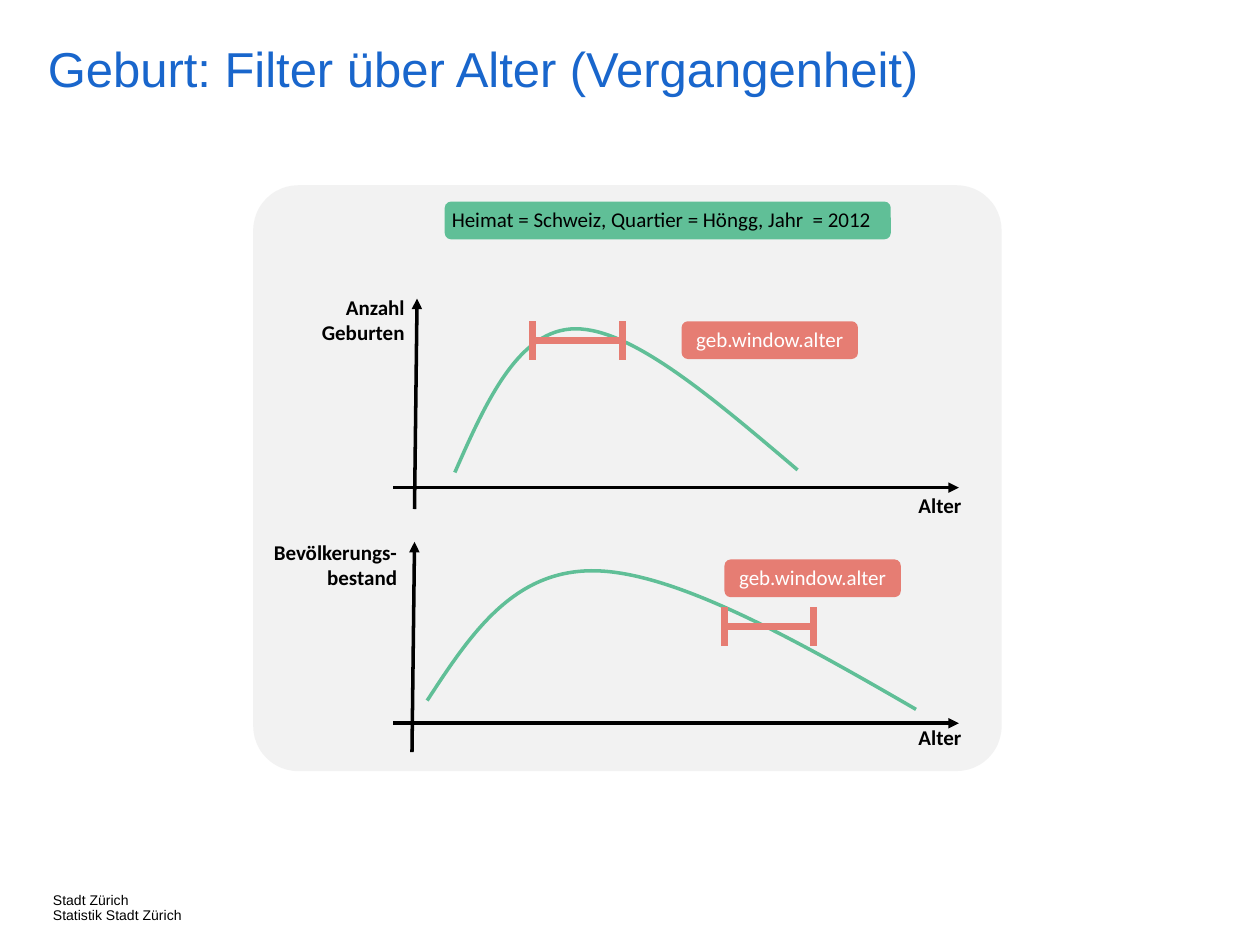
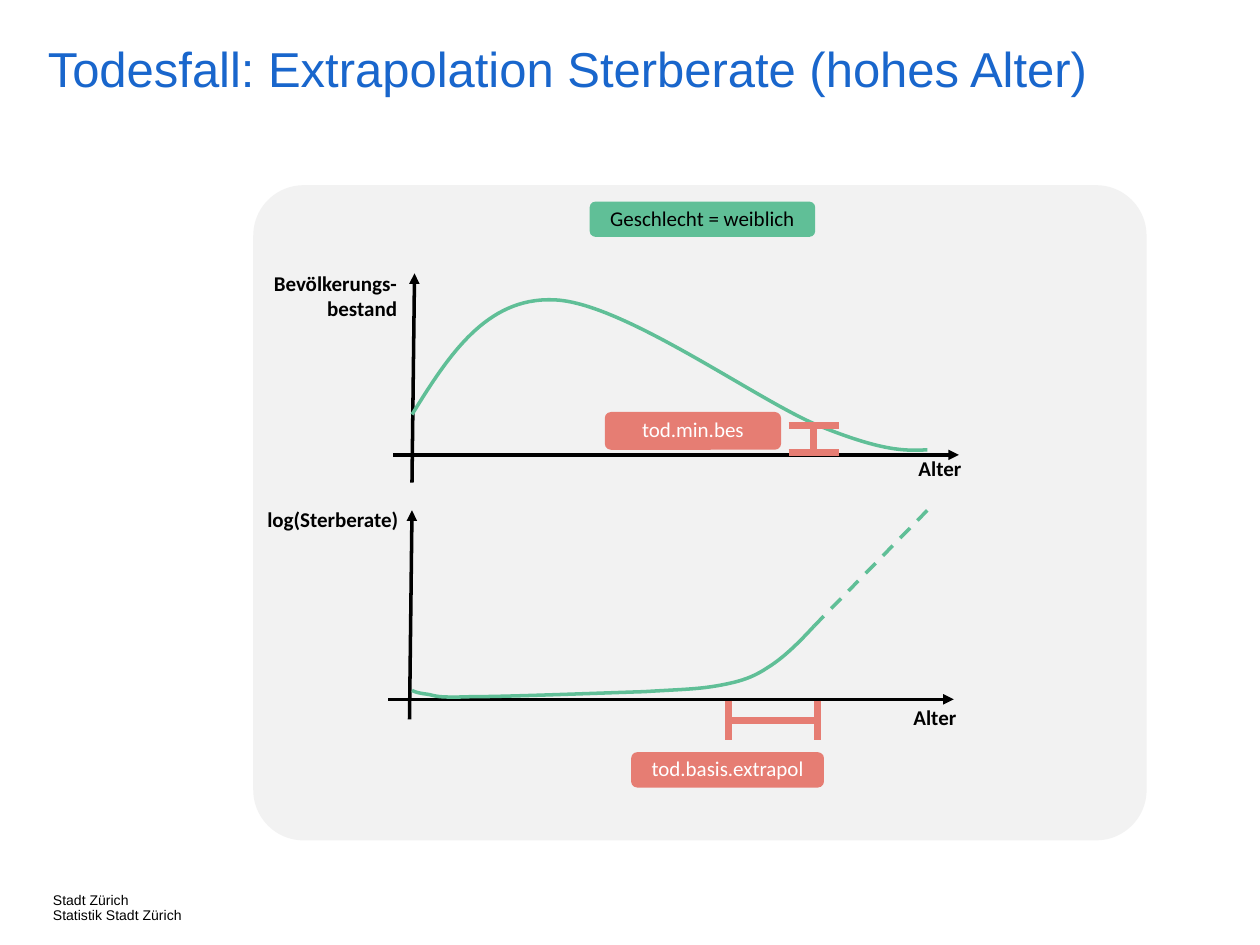
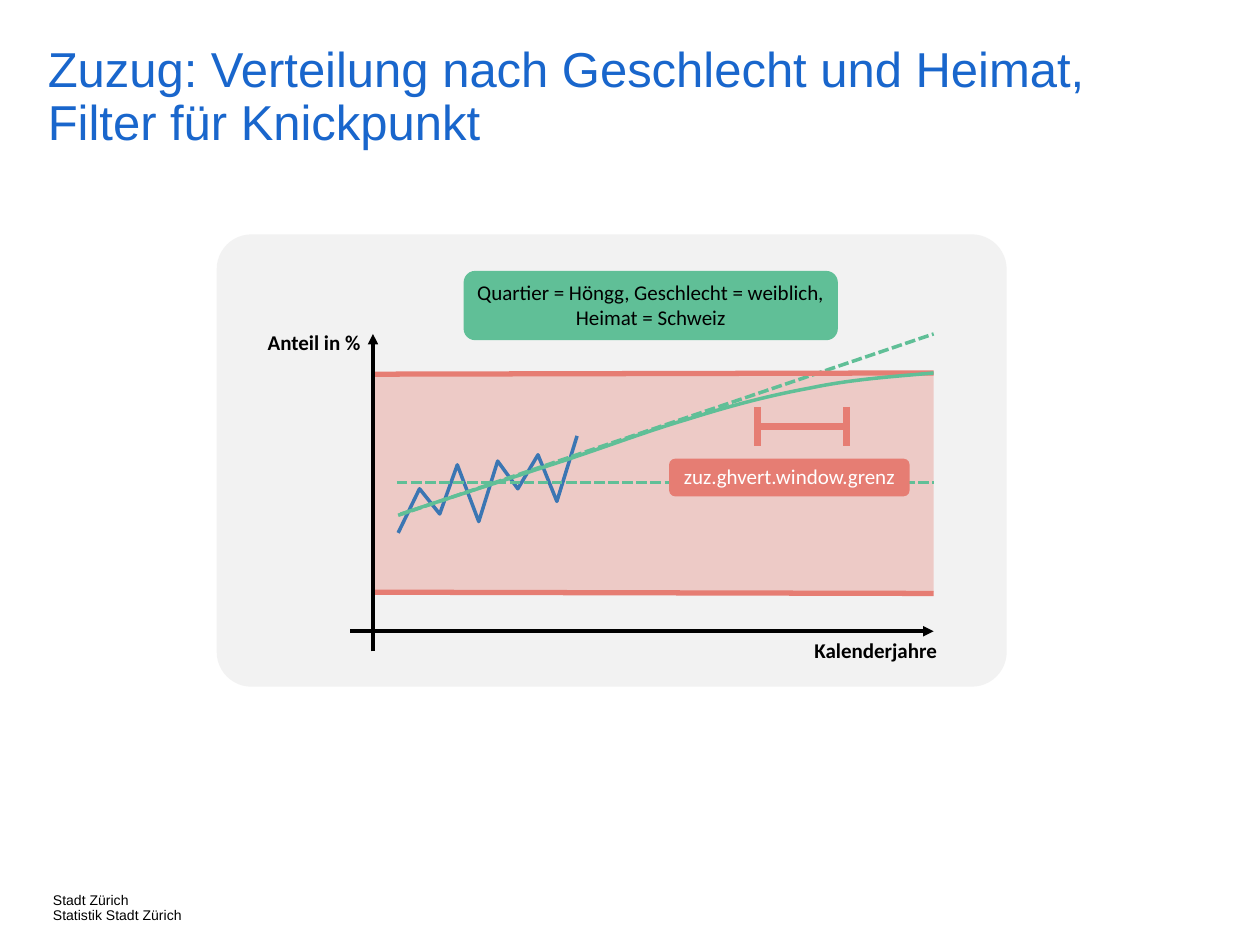
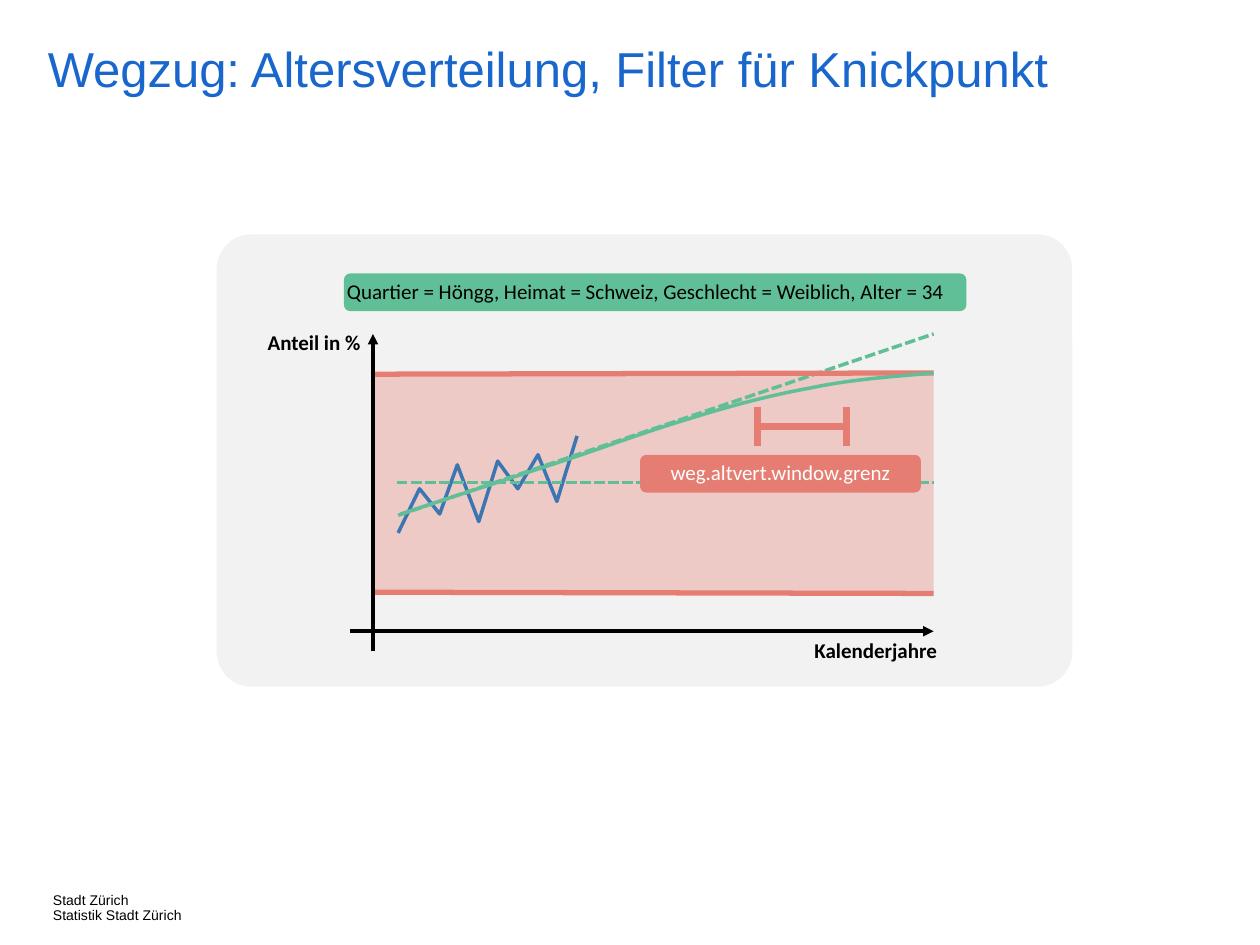
from typing import NamedTuple

from lxml.etree import SubElement
from pptx import Presentation
from pptx.dml.color import RGBColor
from pptx.enum.dml import MSO_LINE_DASH_STYLE as Dash
from pptx.enum.shapes import MSO_CONNECTOR_TYPE as Connector, MSO_SHAPE as Shape
from pptx.enum.text import MSO_ANCHOR as Anchor, PP_ALIGN as Align
from pptx.oxml.ns import qn
from pptx.util import Inches, Pt

BLUE, GREEN, RED, NAVY = "1966CC", "60BF97", "E67D73", "3B76B3"
GREY, BLACK, WHITE = "F2F2F2", "000000", "FFFFFF"
WINDOW_SIZE = (0.71, 0.31)


class Box(NamedTuple):
    left: float
    top: float
    width: float
    height: float

    def inner(self, x, y, width, height):
        return Box(self.left + x, self.top + y, width, height)

    def point(self, x, y):
        return Inches(self.left + x), Inches(self.top + y)

    def lengths(self):
        return [Inches(value) for value in self]


def colour(value):
    return RGBColor.from_string(value)


def write(frame, text, size, font="Calibri", tint=BLACK, bold=False,
          align=Align.LEFT, spacing=None):
    frame.text = text
    for para in frame.paragraphs:
        para.alignment = align
        if spacing:
            para.line_spacing = spacing
        for span in para.runs:
            span.font.name = font
            span.font.size = Pt(size)
            span.font.bold = bold
            span.font.color.rgb = colour(tint)


def set_margins(frame, left=0, top=0, right=0, bottom=0):
    frame.margin_left, frame.margin_top = Inches(left), Inches(top)
    frame.margin_right, frame.margin_bottom = Inches(right), Inches(bottom)


def add_plain_text(page, box, text, size, tint, wrap):
    frame = page.shapes.add_textbox(*box.lengths()).text_frame
    frame.word_wrap = wrap
    set_margins(frame)
    write(frame, text, size, "Arial", tint, spacing=0.9)


def add_label(page, box, text, align):
    frame = page.shapes.add_textbox(*box.lengths()).text_frame
    frame.word_wrap = True
    write(frame, text, 12, bold=True, align=align)


def add_area(page, box, fill, kind=Shape.ROUNDED_RECTANGLE):
    area = page.shapes.add_shape(kind, *box.lengths())
    area.shadow.inherit = False
    area.fill.solid()
    area.fill.fore_color.rgb = colour(fill)
    area.line.fill.background()
    return area


def add_tag(page, box, text, fill, tint, margin_right=0):
    frame = add_area(page, box, fill).text_frame
    frame.word_wrap = True
    frame.vertical_anchor = Anchor.MIDDLE
    set_margins(frame, right=margin_right, bottom=0.02)
    write(frame, text, 12, tint=tint, align=Align.CENTER)


def add_line(page, box, start, end, tint, width=2, dash=None, arrow=False):
    line = page.shapes.add_connector(
        Connector.STRAIGHT, *box.point(*start), *box.point(*end))
    line.line.color.rgb = colour(tint)
    line.line.width = Pt(width)
    if dash:
        line.line.dash_style = dash
    properties = line._element.spPr
    if arrow:
        SubElement(properties.find(qn("a:ln")), qn("a:tailEnd"), type="triangle")
    SubElement(properties, qn("a:effectLst"))


def add_path(page, box, points, tint):
    builder = page.shapes.build_freeform(*box.point(*points[0]))
    builder.add_line_segments([box.point(*point) for point in points[1:]], close=False)
    outline = builder.convert_to_shape()
    outline.shadow.inherit = False
    outline.fill.background()
    outline.line.color.rgb = colour(tint)
    outline.line.width = Pt(2)
    return outline


def add_curve(page, box, controls):
    outline = add_path(page, box, controls, GREEN)
    route = next(outline._element.iter(qn("a:path")))
    steps = route.findall(qn("a:lnTo"))
    for first in range(0, len(steps), 3):
        bend = SubElement(route, qn("a:cubicBezTo"))
        for step in steps[first:first + 3]:
            bend.append(step[0])
            route.remove(step)


def add_window(page, box):
    middle = box.height / 2
    add_line(page, box, (0, middle), (box.width, middle), RED, 4)
    for x in (0, box.width):
        add_line(page, box, (x, 0), (x, box.height), RED, 4)


def add_minimum(page, box):
    middle = box.width / 2
    add_line(page, box, (middle, box.height), (middle, 0), RED, 4)
    for y in (0, box.height):
        add_line(page, box, (0, y), (box.width, y), RED, 4)


def add_axes(page, plot, x_label, y_label, y_label_box, below, origin, lean=0.02,
             x_label_offset=0.77, x_label_lift=0.01):
    baseline = plot.height - below
    add_line(page, plot, (0, baseline), (plot.width, baseline), BLACK, arrow=True)
    add_line(page, plot, (origin, plot.height), (origin + lean, 0), BLACK, arrow=True)
    x_label_box = plot.inner(plot.width - x_label_offset, baseline - x_label_lift, 1.24, 0.3)
    add_label(page, x_label_box, x_label, Align.CENTER)
    add_label(page, plot.inner(*y_label_box), y_label, Align.RIGHT)


def start_page(deck, title, panel):
    page = deck.slides.add_slide(deck.slide_layouts[6])
    add_plain_text(page, Box(0.42, 7.09, 1.31, 0.2),
                   "Stadt Zürich\nStatistik Stadt Zürich", 8, BLACK, False)
    add_plain_text(page, Box(0.38, 0.36, 8.4, 0.64), title, 28, BLUE, True)
    add_area(page, panel, GREY).adjustments[0] = 0.077
    return page


def add_births(page, plot):
    add_axes(page, plot, "Alter", "Anzahl Geburten", (-1.05, -0.08, 1.24, 0.5), 0.17, 0.17)
    add_curve(page, plot, [(0.49, 1.38), (0.74, 0.81), (1, 0.24), (1.45, 0.24),
                           (1.9, 0.24), (2.55, 0.8), (3.21, 1.36)])
    add_window(page, plot.inner(1.11, 0.18, *WINDOW_SIZE))
    add_tag(page, plot.inner(2.29, 0.18, 1.4, 0.3), "geb.window.alter", RED, WHITE)


def add_population(page, plot, below, controls):
    add_axes(page, plot, "Alter", "Bevölkerungs-bestand", (-1.11, -0.07, 1.24, 0.5),
             below, 0.15, x_label_lift=0.04)
    add_curve(page, plot, controls)


def add_birth_population(page, plot):
    add_population(page, plot, 0.23, [
        (0.27, 1.26), (0.61, 0.74), (0.95, 0.22), (1.6, 0.23),
        (2.24, 0.24), (3.2, 0.78), (4.15, 1.33)])
    add_window(page, plot.inner(2.63, 0.52, *WINDOW_SIZE))
    add_tag(page, plot.inner(2.63, 0.14, 1.4, 0.3), "geb.window.alter", RED, WHITE)


def add_death_population(page, plot):
    add_population(page, plot, 0.22, [
        (0.15, 1.12), (0.44, 0.65), (0.74, 0.19), (1.27, 0.21),
        (1.81, 0.22), (2.89, 1.01), (3.38, 1.21),
        (3.88, 1.41), (4.06, 1.41), (4.24, 1.4)])
    add_tag(page, plot.inner(1.68, 1.1, 1.4, 0.3), "tod.min.bes", RED, WHITE)
    add_minimum(page, plot.inner(3.14, 1.21, 0.4, 0.21))


def add_death_rate(page, plot):
    add_axes(page, plot, "Alter", "log(Sterberate)", (-1.19, -0.08, 1.37, 0.3), 0.16, 0.17)
    add_window(page, plot.inner(2.7, 1.51, *WINDOW_SIZE))
    add_tag(page, plot.inner(1.93, 1.92, 1.53, 0.28), "tod.basis.extrapol", RED, WHITE)
    add_curve(page, plot, [
        (0.19, 1.43), (0.21, 1.44), (0.23, 1.45), (0.31, 1.46),
        (0.38, 1.47), (0.36, 1.49), (0.65, 1.48),
        (0.94, 1.48), (1.7, 1.45), (2.03, 1.44),
        (2.36, 1.42), (2.46, 1.42), (2.63, 1.39),
        (2.79, 1.36), (2.89, 1.33), (3.01, 1.25),
        (3.14, 1.17), (3.26, 1.05), (3.38, 0.92)])
    add_line(page, plot, (3.38, 0.92), (4.28, 0), GREEN, dash=Dash.DASH)


def add_share(page, plot):
    band = plot.inner(0.18, 0.31, 4.45, 1.74)
    area = add_area(page, band, RED, Shape.RECTANGLE)
    tint = area._element.spPr.find(qn("a:solidFill")).find(qn("a:srgbClr"))
    SubElement(tint, qn("a:alpha"), val="34000")
    add_path(page, plot, [
        (0.38, 1.58), (0.55, 1.23), (0.71, 1.43), (0.85, 1.04), (1.02, 1.49),
        (1.17, 1.01), (1.33, 1.23), (1.49, 0.96), (1.64, 1.33), (1.8, 0.81)], NAVY)
    for start, end in (((0.37, 1.18), (plot.width, 1.18)),
                       ((0.38, 1.44), (plot.width, 0))):
        add_line(page, plot, start, end, GREEN, dash=Dash.SQUARE_DOT)
    for left_y, right_y in ((band.height, band.height + 0.01), (0.01, 0)):
        add_line(page, band, (0, left_y), (band.width, right_y), RED, 3)
    add_axes(page, plot, "Kalenderjahre", "Anteil in %", (-1.06, -0.08, 1.24, 0.3),
             0.16, 0.18, lean=0, x_label_offset=1.08, x_label_lift=0)
    add_window(page, plot.inner(3.23, 0.58, *WINDOW_SIZE))
    add_curve(page, plot, [
        (0.4, 1.43), (0.79, 1.3), (1.17, 1.18), (1.56, 1.05),
        (1.94, 0.93), (2.33, 0.78), (2.67, 0.68),
        (3.02, 0.57), (3.32, 0.49), (3.65, 0.43),
        (3.98, 0.36), (4.3, 0.34), (4.63, 0.31)])


def build_births(deck, panel):
    page = start_page(deck, "Geburt: Filter über Alter (Vergangenheit)", panel)
    add_tag(page, panel.inner(1.52, 0.13, 3.54, 0.3),
            "Heimat = Schweiz, Quartier = Höngg, Jahr  = 2012", GREEN, BLACK, 0.1)
    add_births(page, panel.inner(1.11, 0.9, 4.49, 1.67))
    add_birth_population(page, panel.inner(1.11, 2.83, 4.49, 1.67))


def build_deaths(deck, panel):
    page = start_page(deck, "Todesfall: Extrapolation Sterberate (hohes Alter)", panel)
    add_tag(page, panel.inner(2.67, 0.13, 1.79, 0.28),
            "Geschlecht = weiblich", GREEN, BLACK)
    add_death_rate(page, panel.inner(1.07, 2.58, 4.49, 1.66))
    add_death_population(page, panel.inner(1.11, 0.7, 4.49, 1.66))


def build_share(deck, panel, title, parameter, parameter_box, group, group_box,
                margin_right=0):
    page = start_page(deck, title, panel)
    plot = panel.inner(1.06, 0.79, 4.63, 2.52)
    add_share(page, plot)
    add_tag(page, plot.inner(*parameter_box), parameter, RED, WHITE)
    add_tag(page, panel.inner(*group_box), group, GREEN, BLACK, margin_right)


def main():
    deck = Presentation()
    deck.slide_width, deck.slide_height = Inches(10), Inches(7.5)
    build_births(deck, Box(2.01, 1.47, 5.94, 4.65))
    build_deaths(deck, Box(2.01, 1.47, 7.09, 5.2))
    build_share(deck, Box(1.72, 1.86, 6.27, 3.59),
                "Zuzug: Verteilung nach Geschlecht und Heimat, Filter für Knickpunkt",
                "zuz.ghvert.window.grenz", (2.53, 0.99, 1.91, 0.3),
                "Quartier = Höngg, Geschlecht = weiblich, Heimat = Schweiz",
                (1.96, 0.29, 2.97, 0.55))
    build_share(deck, Box(1.72, 1.86, 6.79, 3.59),
                "Wegzug: Altersverteilung, Filter für Knickpunkt",
                "weg.altvert.window.grenz", (2.3, 0.96, 2.23, 0.3),
                "Quartier = Höngg, Heimat = Schweiz, Geschlecht = Weiblich, Alter = 34",
                (1.01, 0.31, 4.94, 0.3), 0.15)
    deck.save("out.pptx")


if __name__ == "__main__":
    main()
